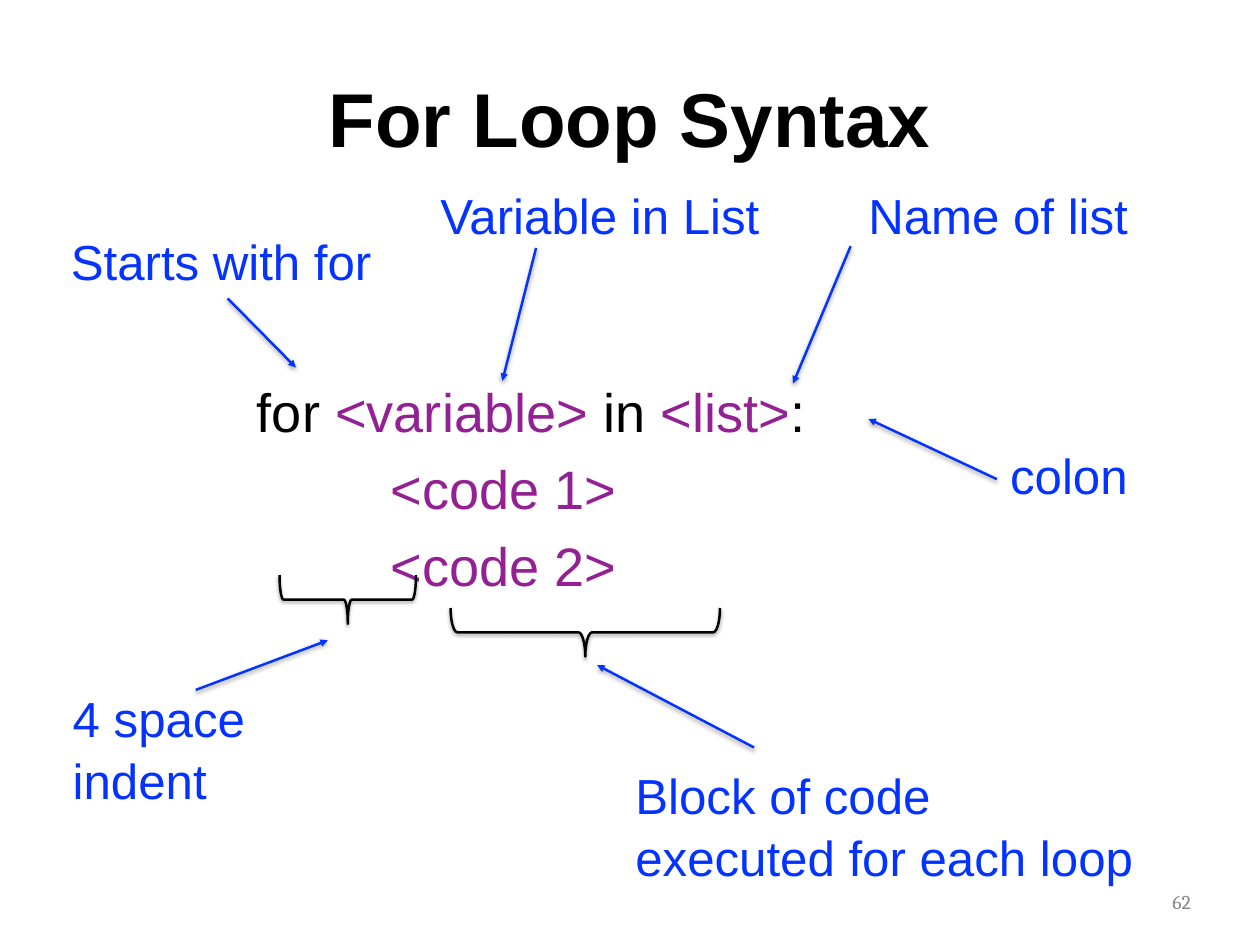
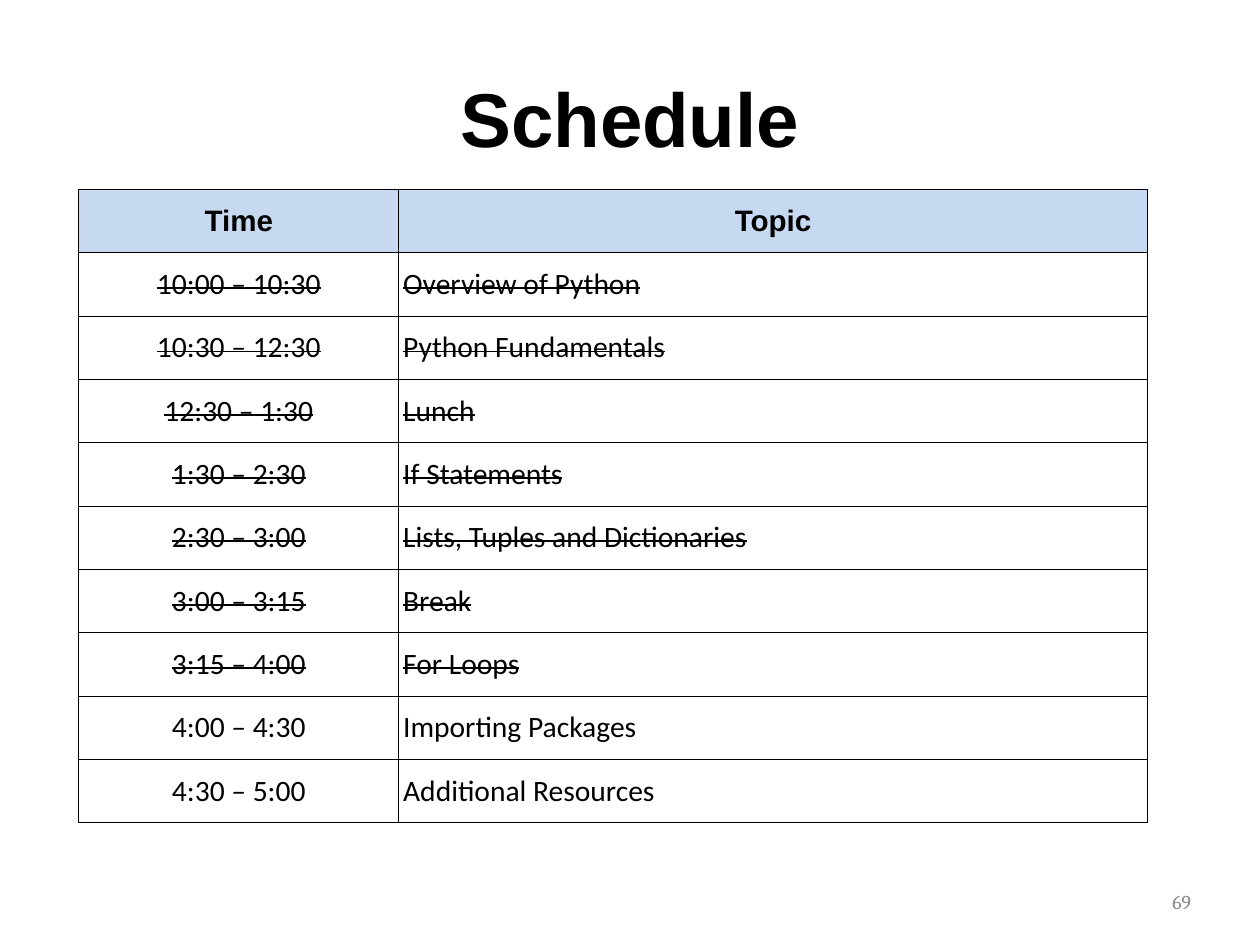
from lxml.etree import SubElement
from pptx import Presentation
from pptx.dml.color import RGBColor
from pptx.enum.shapes import MSO_CONNECTOR, MSO_SHAPE
from pptx.enum.text import MSO_ANCHOR, MSO_AUTO_SIZE, PP_ALIGN
from pptx.oxml.ns import qn
from pptx.util import Emu, Pt

BLACK, BLUE, PURPLE, GREY, PALE = "000000", "0433FF", "942193", "888888", "C6D9F1"
SIZE = 1422, 1067
SIDES = "left", "right", "top", "bottom"

TITLE = dict(size=62, name="Arial", color=BLACK, bold=True)
CODE = dict(size=44, name="Arial")
NOTE = dict(size=40, name="Arial", color=BLUE)
PAGE = dict(size=16, name="Cambria", color=GREY)
HEAD = dict(size=24, name="Arial", color=BLACK, bold=True)
CELL = dict(size=24, name="Calibri", color=BLACK)

SYNTAX = [
    [("for ", BLACK), ("<variable> ", PURPLE), ("in ", BLACK),
     ("<list>", PURPLE), (":", BLACK)],
    [("<code 1>", PURPLE)],
    [("<code 2>", PURPLE)],
]
# lines, text box, arrow (from x, y, to x, y)
NOTES = [
    (["Starts with for"], (73, 251, 355, 81), (257, 337, 334, 415)),
    (["Variable in List"], (490, 199, 376, 81), (605, 280, 567, 430)),
    (["Name of list"], (973, 199, 324, 81), (960, 278, 895, 433)),
    (["colon"], (1133, 492, 148, 81), (1125, 541, 980, 473)),
    (["4 space", "indent"], (75, 767, 241, 148), (221, 779, 370, 723)),
    (["Block of code", "executed for each loop"], (710, 854, 578, 148),
     (851, 844, 674, 751)),
]
# box before the quarter turn, corner curve
BRACES = [((365, 600, 55, 154), 0.08), ((633, 562, 55, 304), 0.14)]

COLUMNS = 361, 845
TABLE = 89, 214, sum(COLUMNS), 715
DONE = 7
SCHEDULE = [
    ("Time", "Topic"),
    ("10:00 – 10:30", "Overview of Python"),
    ("10:30 – 12:30", "Python Fundamentals"),
    ("12:30 – 1:30", "Lunch"),
    ("1:30 – 2:30", "If Statements"),
    ("2:30 – 3:00", "Lists, Tuples and Dictionaries"),
    ("3:00 – 3:15", "Break"),
    ("3:15 – 4:00", "For Loops"),
    ("4:00 – 4:30", "Importing Packages"),
    ("4:30 – 5:00", "Additional Resources"),
]


def px(*values):
    """Turn px, 100 to the inch, into EMU."""
    return [Emu(v * 9144) for v in values]


def rgb(code):
    return RGBColor.from_string(code)


def add_run(para, text, size, color, **look):
    run = para.add_run()
    run.text = text
    run.font.size = Pt(size)
    run.font.color.rgb = rgb(color)
    for key, value in look.items():
        setattr(run.font, key, value)
    return run


def pad(target, gap):
    """Set all four text margins of a frame or a cell."""
    for side in SIDES:
        setattr(target, f"margin_{side}", px(gap)[0])


def add_text(slide, box, lines, look, align=PP_ALIGN.LEFT, **layout):
    """Write lines of (text, colour) runs or plain strings; return paragraphs."""
    frame = slide.shapes.add_textbox(*px(*box)).text_frame
    pad(frame, 7)
    for key, value in {"word_wrap": True, **layout}.items():
        setattr(frame, key, value)
    for i, line in enumerate(lines):
        para = frame.add_paragraph() if i else frame.paragraphs[0]
        para.alignment = align
        runs = [(line, look.get("color"))] if isinstance(line, str) else line
        for text, color in runs:
            add_run(para, text, **{**look, "color": color})
    return frame.paragraphs


def shade(shape, blur, dist):
    """Give a soft shadow that falls straight down."""
    props = shape._element.spPr
    for old in props.findall(qn("a:effectLst")):
        props.remove(old)
    shadow = SubElement(SubElement(props, qn("a:effectLst")), qn("a:outerShdw"),
                        blurRad=str(Pt(blur)), dist=str(Pt(dist)),
                        dir="5400000", rotWithShape="0")
    color = SubElement(shadow, qn("a:srgbClr"), val=BLACK)
    SubElement(color, qn("a:alpha"), val="38000")


def stroke(shape, color):
    shape.line.color.rgb = rgb(color)
    shape.line.width = Pt(2)


def add_arrow(slide, ends):
    arrow = slide.shapes.add_connector(MSO_CONNECTOR.STRAIGHT, *px(*ends))
    stroke(arrow, BLUE)
    SubElement(arrow.line._get_or_add_ln(), qn("a:tailEnd"), type="triangle")
    shade(arrow, 4, 2)


def add_brace(slide, box, curve):
    brace = slide.shapes.add_shape(MSO_SHAPE.RIGHT_BRACE, *px(*box))
    brace.rotation = 90
    brace.adjustments[0] = curve
    brace.fill.background()
    stroke(brace, BLACK)
    shade(brace, 3, 1.6)


def add_slide(deck, title, page):
    slide = deck.slides.add_slide(deck.slide_layouts[6])
    middle = dict(vertical_anchor=MSO_ANCHOR.MIDDLE)
    add_text(slide, (71, 43, 1280, 178), [title], TITLE, PP_ALIGN.CENTER, **middle)
    add_text(slide, (1019, 997, 332, 41), [page], PAGE, PP_ALIGN.RIGHT, **middle)
    return slide


def fill_cell(cell, text, look, align, fill, struck):
    pad(cell, 5)
    cell.vertical_anchor = MSO_ANCHOR.MIDDLE
    props = cell._tc.get_or_add_tcPr()
    for side in "LRTB":
        line = SubElement(props, qn(f"a:ln{side}"), w=str(Pt(1)))
        SubElement(SubElement(line, qn("a:solidFill")), qn("a:srgbClr"), val=BLACK)
    if fill:
        cell.fill.solid()
        cell.fill.fore_color.rgb = rgb(fill)
    else:
        cell.fill.background()
    para = cell.text_frame.paragraphs[0]
    para.alignment = align
    run = add_run(para, text, **look)
    if struck:
        run._r.get_or_add_rPr().set("strike", "sngStrike")


def syntax_slide(deck):
    slide = add_slide(deck, "For Loop Syntax", "62")
    paras = add_text(slide, (283, 417, 1066, 301), SYNTAX, CODE)
    for i, para in enumerate(paras):
        para.space_before = Pt(7)
        para.line_spacing = 1.05
        if i:
            para._p.get_or_add_pPr().set("marL", str(px(151)[0]))
    for lines, box, ends in NOTES:
        for para in add_text(slide, box, lines, NOTE, word_wrap=False,
                             auto_size=MSO_AUTO_SIZE.SHAPE_TO_FIT_TEXT):
            para.line_spacing = 1.05
        add_arrow(slide, ends)
    for box, curve in BRACES:
        add_brace(slide, box, curve)


def schedule_slide(deck):
    slide = add_slide(deck, "Schedule", "69")
    table = slide.shapes.add_table(len(SCHEDULE), len(COLUMNS), *px(*TABLE)).table
    table.first_row = table.horz_banding = False
    for column, width in zip(table.columns, px(*COLUMNS)):
        column.width = width
    for r, row in enumerate(SCHEDULE):
        for c, text in enumerate(row):
            head = r == 0
            align = PP_ALIGN.CENTER if head or c == 0 else PP_ALIGN.LEFT
            fill_cell(table.cell(r, c), text, HEAD if head else CELL, align,
                      PALE if head else None, 1 <= r <= DONE)


def main():
    deck = Presentation()
    deck.slide_width, deck.slide_height = px(*SIZE)
    syntax_slide(deck)
    schedule_slide(deck)
    deck.save("out.pptx")


if __name__ == "__main__":
    main()
